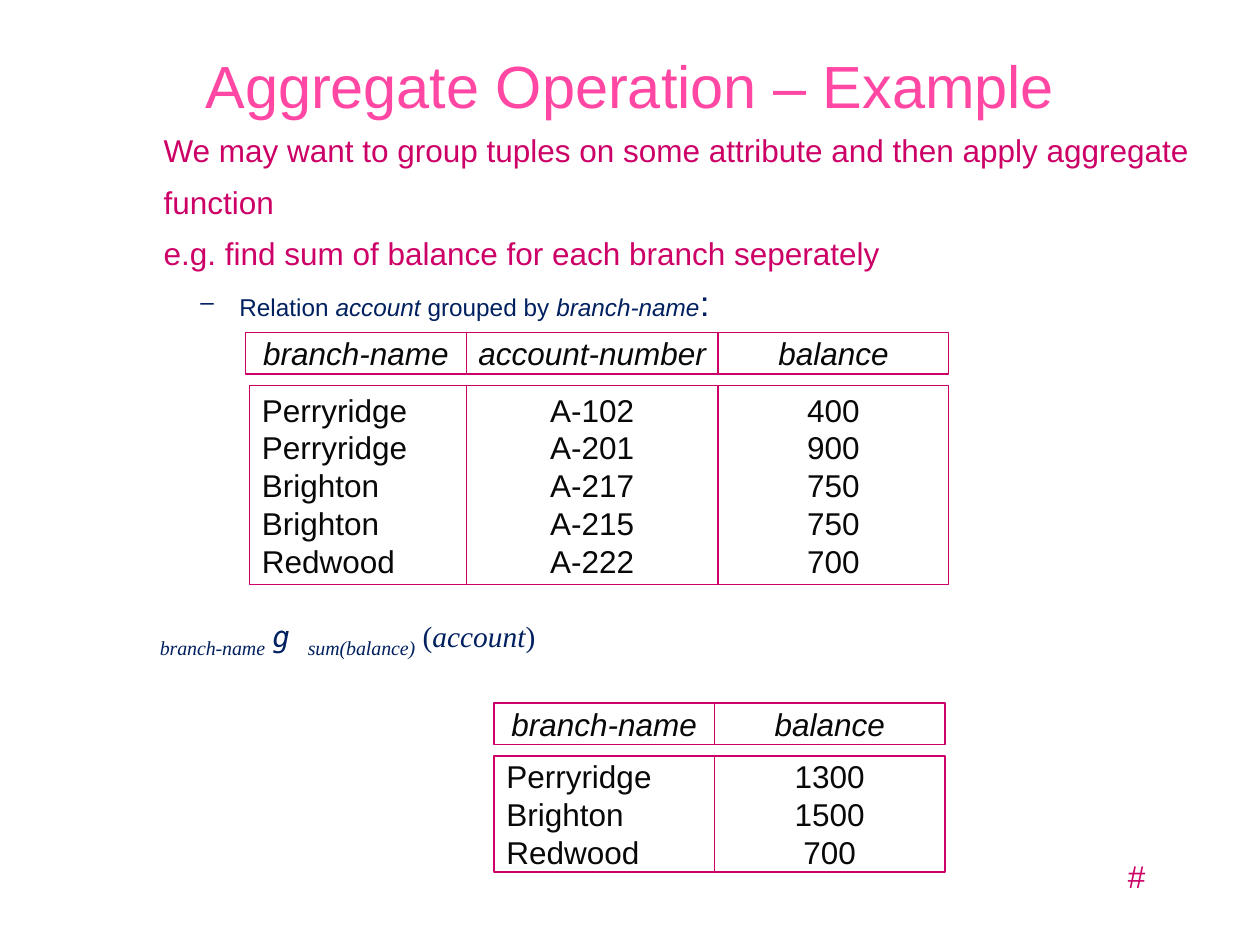
import pptx
import pptx.util
import pptx.dml.color
import pptx.enum.shapes
import pptx.enum.text
import pptx.oxml.ns
from lxml import etree

Inches, Pt = pptx.util.Inches, pptx.util.Pt
ALIGN = pptx.enum.text.PP_ALIGN
ANCHOR = pptx.enum.text.MSO_ANCHOR
AUTO_SIZE = pptx.enum.text.MSO_AUTO_SIZE

# Content
TITLE = "Aggregate Operation – Example"
INTRO = [
    "We may want to group tuples on some attribute and then apply aggregate",
    "function",
    "e.g. find sum of balance for each branch seperately",
]
# Runs: (text, style in THEME, italic)
CAPTION = [
    ("Relation ", "caption", False),
    ("account", "caption", True),
    (" grouped by ", "caption", False),
    ("branch-name", "caption", True),
    (":", "colon", False),
]
FORMULA = [
    ("branch-name", "subscript", True),
    (" ", "formula", False),
    ("g ", "operator", True),
    ("sum(balance)", "subscript", True),
    (" (", "formula", False),
    ("account", "formula", True),
    (")", "formula", False),
]
PAGE_MARK = "#"

# Columns: (heading, width, alignment, values)
RELATIONS = [
    {"left": 1.95, "top": 2.64, "first_inset": 0.03, "columns": [
        ("branch-name", 1.75, ALIGN.LEFT,
         ["Perryridge", "Perryridge", "Brighton", "Brighton", "Redwood"]),
        ("account-number", 2, ALIGN.CENTER,
         ["A-102", "A-201", "A-217", "A-215", "A-222"]),
        ("balance", 1.83, ALIGN.CENTER, ["400", "900", "750", "750", "700"]),
    ]},
    {"left": 3.92, "top": 5.58, "first_inset": 0, "columns": [
        ("branch-name", 1.75, ALIGN.LEFT, ["Perryridge", "Brighton", "Redwood"]),
        ("balance", 1.83, ALIGN.CENTER, ["1300", "1500", "700"]),
    ]},
]
HEADING_HEIGHT, BODY_OFFSET, ROW_HEIGHT, BODY_TRIM = 0.33, 0.42, 0.33, 0.07

# Theme: style -> (font, size, colour)
THEME = {
    "title": ("Arial", 34, "FF47A3"),
    "intro": ("Arial", 18, "CC0066"),
    "caption": ("Arial", 13.9, "002060"),
    "colon": ("Arial", 20.1, "002060"),
    "formula": ("Times New Roman", 16.8, "002060"),
    "operator": ("DejaVu Sans Mono", 16.8, "002060"),
    "subscript": ("Times New Roman", 19.6, "002060"),
    "cell": ("Arial", 18, "080808"),
    "cell fill": "FFFFFF",
    "cell line": "CC0066",
}


def rgb(name):
    return pptx.dml.color.RGBColor.from_string(name)


def set_font(font, style, italic=False):
    font.name, size, colour = THEME[style]
    font.size = Pt(size)
    font.color.rgb = rgb(colour)
    font.italic = italic
    font.bold = False


def place(shape, left, top, width, height):
    shape.left, shape.top = Inches(left), Inches(top)
    shape.width, shape.height = Inches(width), Inches(height)


def write_lines(frame, lines, style, italic=False, align=ALIGN.LEFT, gap=0):
    for index, line in enumerate(lines):
        paragraph = frame.add_paragraph() if index else frame.paragraphs[0]
        paragraph.text = line
        paragraph.alignment = align
        paragraph.space_before = Pt(gap if index else 0)
        set_font(paragraph.font, style, italic)


def write_runs(paragraph, runs):
    for text, style, italic in runs:
        run = paragraph.add_run()
        run.text = text
        set_font(run.font, style, italic)
        if style == "subscript":
            run.font._element.set("baseline", "-25000")


def add_text(slide, left, top, width, height, wrap):
    frame = slide.shapes.add_textbox(
        Inches(left), Inches(top), Inches(width), Inches(height)).text_frame
    frame.word_wrap = wrap
    return frame


def add_cell(slide, left, top, width, height, lines, align, italic):
    cell = slide.shapes.add_shape(
        pptx.enum.shapes.MSO_SHAPE.RECTANGLE,
        Inches(left), Inches(top), Inches(width), Inches(height))
    cell.shadow.inherit = False
    cell.fill.solid()
    cell.fill.fore_color.rgb = rgb(THEME["cell fill"])
    cell.line.color.rgb = rgb(THEME["cell line"])
    cell.line.width = Pt(0.75)
    cell.text_frame.word_wrap = False
    cell.text_frame.vertical_anchor = ANCHOR.MIDDLE
    write_lines(cell.text_frame, lines, "cell", italic, align)


def add_relation(slide, left, top, first_inset, columns):
    inset = first_inset
    for heading, width, align, values in columns:
        add_cell(slide, left, top, width, HEADING_HEIGHT,
                 [heading], ALIGN.CENTER, True)
        add_cell(slide, left + inset, top + BODY_OFFSET, width,
                 len(values) * ROW_HEIGHT - BODY_TRIM, values, align, False)
        left += width
        inset = 0


def add_dash_bullet(paragraph):
    properties = paragraph._p.get_or_add_pPr()
    properties.set("marL", str(Inches(0.81)))
    properties.set("indent", str(Inches(-0.31)))
    colour = etree.SubElement(properties, pptx.oxml.ns.qn("a:buClr"))
    etree.SubElement(colour, pptx.oxml.ns.qn("a:srgbClr"), val=THEME["caption"][2])
    etree.SubElement(properties, pptx.oxml.ns.qn("a:buChar"), char="–")


def main():
    deck = pptx.Presentation()
    deck.slide_width, deck.slide_height = Inches(10), Inches(7.5)
    slide = deck.slides.add_slide(deck.slide_layouts[1])
    title, caption = slide.placeholders

    # Title
    place(title, 0.75, 0.17, 8.5, 1)
    title.text_frame.auto_size = AUTO_SIZE.NONE
    title.text_frame.vertical_anchor = ANCHOR.MIDDLE
    write_lines(title.text_frame, [TITLE], "title", align=ALIGN.CENTER)

    # Caption of the first relation
    place(caption, 0.99, 2.18, 7.69, 0.45)
    caption.text_frame.auto_size = AUTO_SIZE.NONE
    caption_line = caption.text_frame.paragraphs[0]
    caption_line.level = 1
    add_dash_bullet(caption_line)
    caption_line.space_before = Pt(0)
    write_runs(caption_line, CAPTION)

    # Introduction
    intro = add_text(slide, 1.2, 0.99, 8.41, 1.22, wrap=False)
    write_lines(intro, INTRO, "intro", gap=7.9)

    # Relations before and after grouping
    for relation in RELATIONS:
        add_relation(slide, **relation)

    # Aggregate expression
    formula = add_text(slide, 1.17, 4.85, 7.69, 0.45, wrap=True).paragraphs[0]
    formula.line_spacing = 0.8
    write_runs(formula, FORMULA)

    # Page mark
    page_mark = add_text(slide, 8.85, 6.75, 0.34, 0.4, wrap=False)
    write_lines(page_mark, [PAGE_MARK], "intro", italic=True)

    deck.save("out.pptx")


if __name__ == "__main__":
    main()
